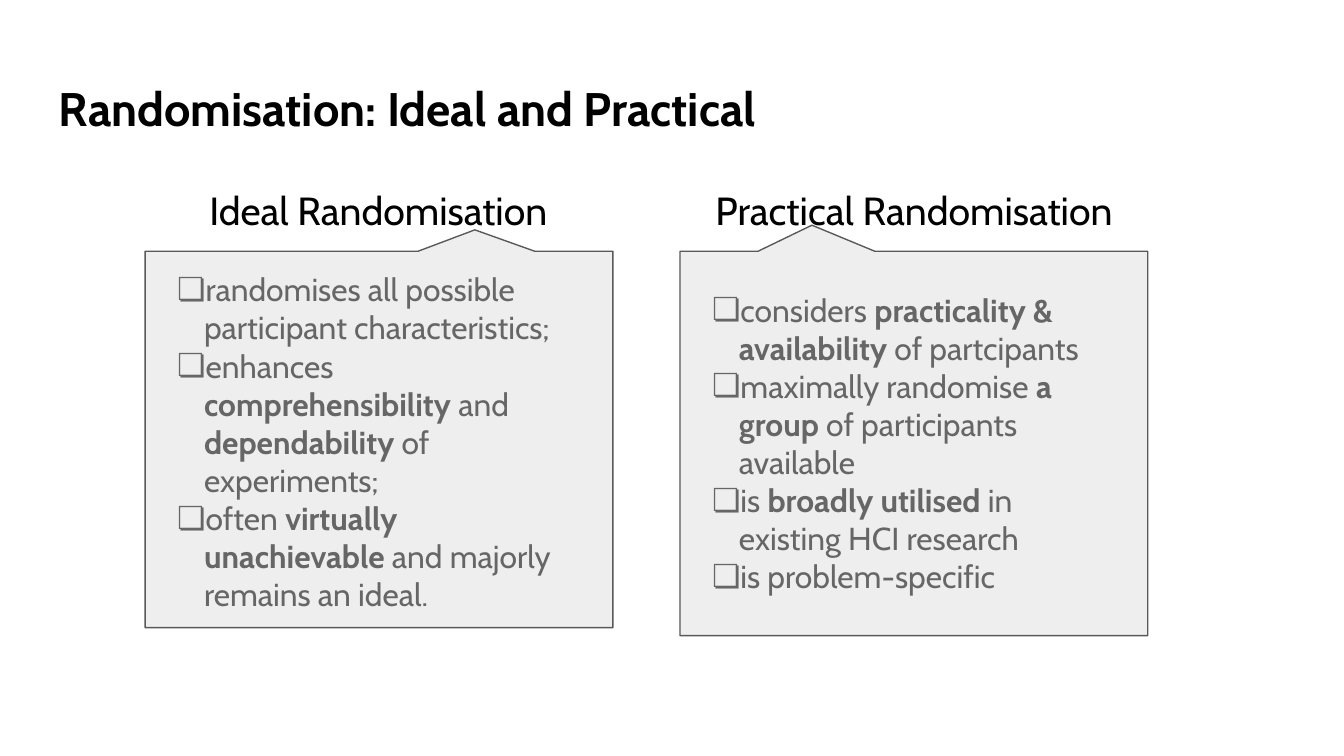
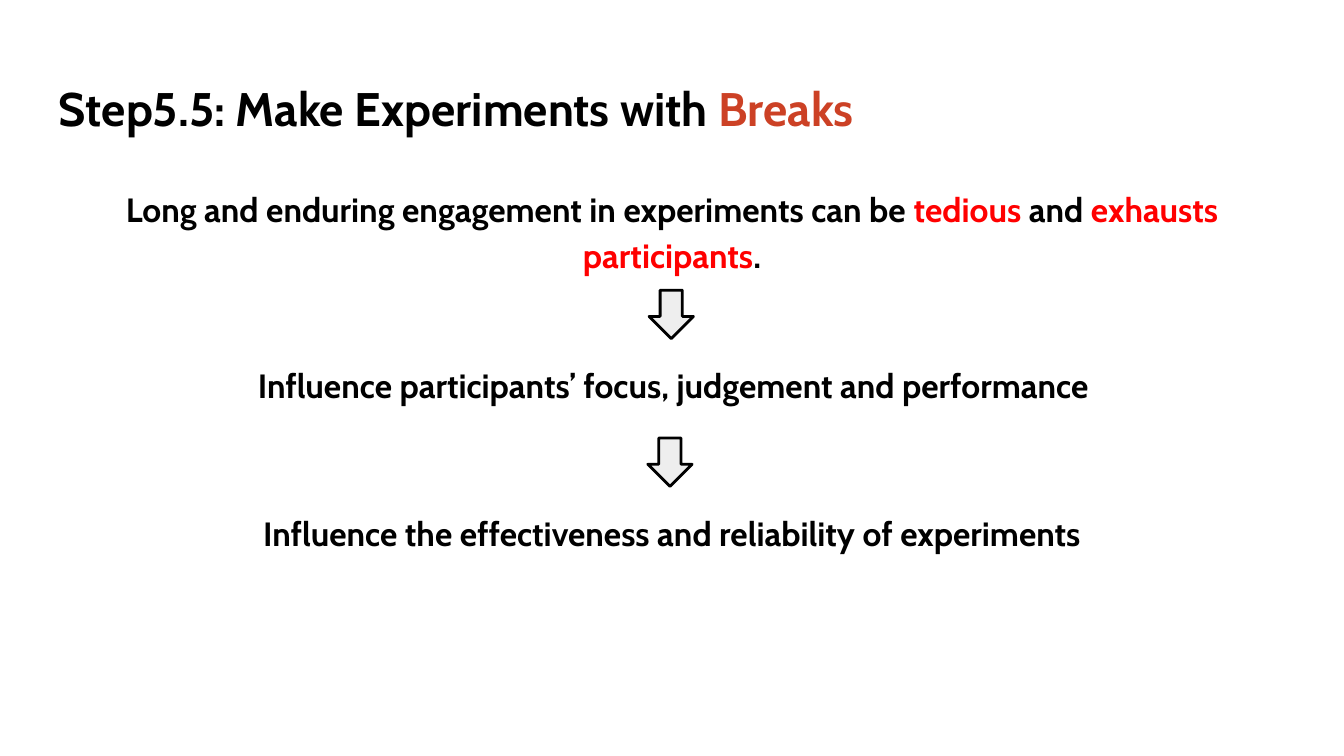
from lxml import etree
from pptx import Presentation
from pptx.dml.color import RGBColor
from pptx.enum import shapes, text
from pptx.oxml import ns
from pptx.util import Inches, Pt

BLACK = RGBColor(0x00, 0x00, 0x00)
GREY = RGBColor(0x66, 0x66, 0x66)
EDGE = RGBColor(0x59, 0x59, 0x59)
PALE = RGBColor(0xEE, 0xEE, 0xEE)
RED = RGBColor(0xFF, 0x00, 0x00)
RUST = RGBColor(0xCC, 0x41, 0x25)
FONT = "Cabin"
CENTER = text.PP_ALIGN.CENTER


def write(slide, box, lines, size, color=BLACK, bold=False, accent=None,
          align=text.PP_ALIGN.LEFT, space=None, bullet=None):
    """Add a text box; parts between asterisks are bold, in the accent colour."""
    frame = slide.shapes.add_textbox(*map(Inches, box)).text_frame
    frame.word_wrap = True
    frame.margin_left = frame.margin_right = Inches(0.1)
    frame.margin_top = frame.margin_bottom = Inches(0.1)
    for i, line in enumerate(lines):
        para = frame.paragraphs[0] if i == 0 else frame.add_paragraph()
        if bullet:
            props = para._p.get_or_add_pPr()
            props.set("marL", str(Inches(0.2)))
            props.set("indent", str(Inches(-0.22)))
            tint = etree.SubElement(props, ns.qn("a:buClr"))
            etree.SubElement(tint, ns.qn("a:srgbClr"), val=str(color))
            etree.SubElement(props, ns.qn("a:buFont"), typeface=FONT)
            etree.SubElement(props, ns.qn("a:buChar"), char=bullet)
        para.alignment = align
        if space:
            para.line_spacing = space
            para.space_after = Pt(12)
        for n, part in enumerate(line.split("*")):
            if not part:
                continue
            run = para.add_run()
            run.text = part
            marked = n % 2 == 1
            font = run.font
            font.name, font.size = FONT, Pt(size)
            font.bold = bold or marked
            font.color.rgb = accent if marked and accent else color


def draw(slide, kind, box, adjust, line, width):
    """Add a pale shape with the given adjustments and outline."""
    shape = slide.shapes.add_shape(kind, *map(Inches, box))
    shape.shadow.inherit = False
    for i, value in enumerate(adjust):
        shape.adjustments[i] = value
    shape.fill.solid()
    shape.fill.fore_color.rgb = PALE
    shape.line.color.rgb = line
    shape.line.width = Pt(width)


deck = Presentation()
deck.slide_width, deck.slide_height = Inches(10), Inches(10 * 9 / 16)
titles = ["Randomisation: Ideal and Practical",
          "Step5.5: Make Experiments with *Breaks*"]
pages = []
for title in titles:
    page = deck.slides.add_slide(deck.slide_layouts[6])
    write(page, (0.34, 0.49, 9.32, 0.63), [title], 25.2, bold=True, accent=RUST)
    pages.append(page)
compare, breaks = pages

# Two callouts, each under its heading: heading box, callout box, tip, list box
columns = [
    ("Ideal Randomisation", (1.12, 1.29, 3.39, 0.56),
     (1.08, 1.87, 3.48, 2.8), (0.205, -0.557, 0), (1.22, 1.91, 3.2, 2.78),
     ["randomises all possible participant characteristics;",
      "enhances *comprehensibility* and *dependability* of experiments;",
      "often *virtually unachievable* and majorly remains an ideal."]),
    ("Practical Randomisation", (4.64, 1.29, 4.32, 0.56),
     (5.06, 1.87, 3.48, 2.86), (-0.218, -0.568, 0), (5.2, 2.06, 3.2, 2.49),
     ["considers *practicality & availability* of partcipants",
      "maximally randomise *a group* of participants available",
      "is *broadly utilised* in existing HCI research",
      "is problem-specific"]),
]
for head, top, frame, tip, inner, points in columns:
    draw(compare, shapes.MSO_SHAPE.ROUNDED_RECTANGULAR_CALLOUT, frame, tip, EDGE, 0.75)
    write(compare, top, [head], 21, align=CENTER)
    write(compare, inner, points, 17, color=GREY, bullet="❏")

# A chain of statements joined by arrows
chain = [
    (0.34, 1.26, 3.74, "Long and enduring engagement in experiments can be "
     "*tedious* and *exhausts participants*."),
    (0.35, 2.57, 0.53, "Influence participants’ focus, judgement and performance"),
    (0.34, 3.67, 0.53, "Influence the effectiveness and reliability of experiments"),
]
for left, top, height, words in chain:
    write(breaks, (left, top, 9.32, height), [words], 18, bold=True,
          accent=RED, align=CENTER, space=1.15)
for left, top in [(4.83, 2.16), (4.82, 3.26)]:
    draw(breaks, shapes.MSO_SHAPE.DOWN_ARROW, (left, top, 0.33, 0.36),
         (0.5, 0.5), BLACK, 1.5)

deck.save("out.pptx")
